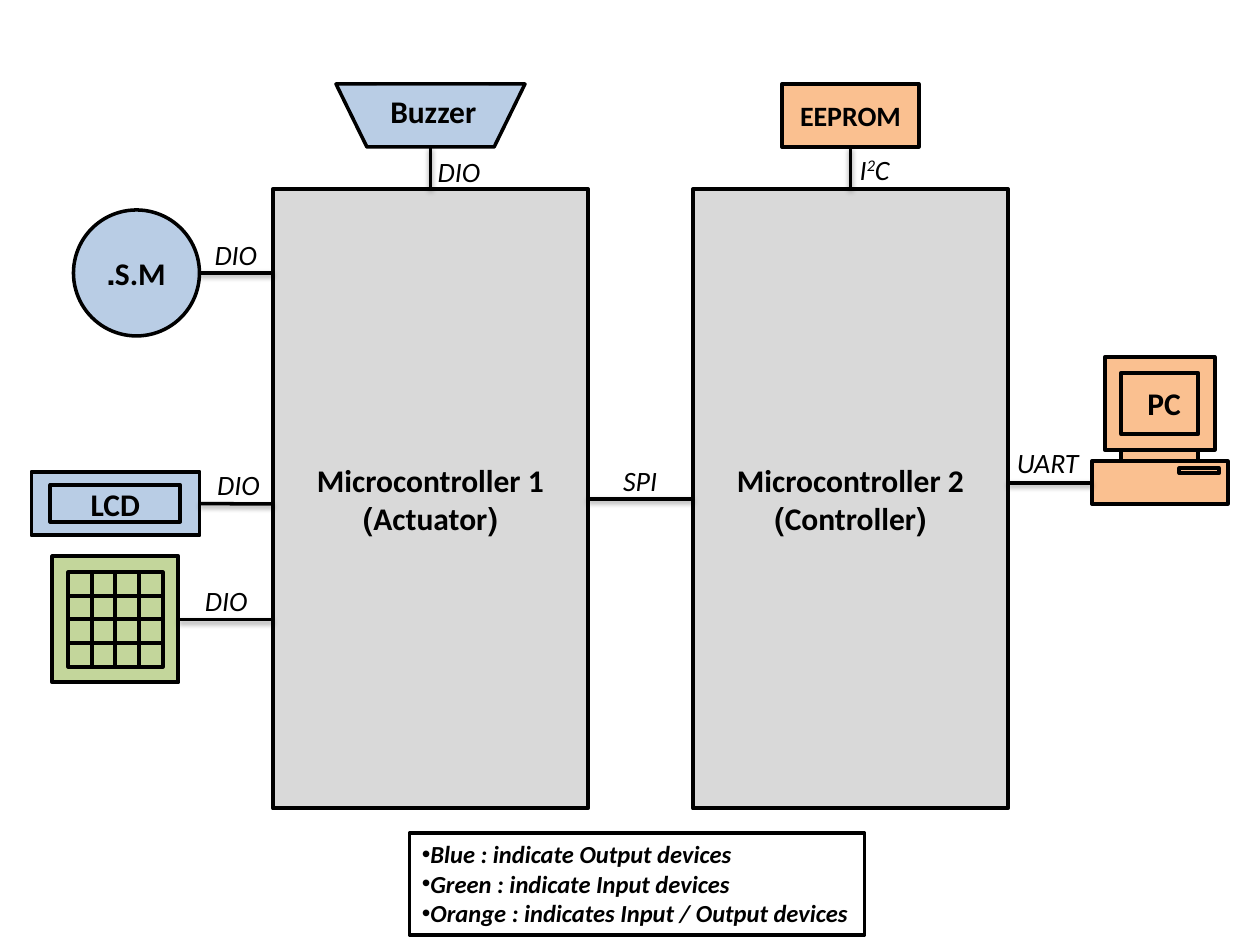
from typing import NamedTuple

from lxml.etree import SubElement
from pptx import Presentation
from pptx.dml.color import RGBColor
from pptx.enum.shapes import MSO_CONNECTOR as Connector, MSO_SHAPE as Preset
from pptx.enum.text import MSO_ANCHOR as Anchor, MSO_AUTO_SIZE as AutoSize, PP_ALIGN as Align
from pptx.oxml.ns import qn
from pptx.util import Pt

BLACK, WHITE, GREY = "000000", "FFFFFF", "D9D9D9"
BLUE, GREEN, ORANGE = "B9CDE5", "C3D69B", "FAC090"


class Box(NamedTuple):
    left: float
    top: float
    width: float
    height: float


class Label(NamedTuple):
    text: str
    box: Box


class Wire(NamedTuple):
    start: tuple
    end: tuple
    source: tuple = None  # (shape, connection site)
    target: tuple = None


def rgb(value: str) -> RGBColor:
    return RGBColor.from_string(value)


def paint(shape, fill: str, line_width: float):
    shape.shadow.inherit = False
    shape.fill.solid()
    shape.fill.fore_color.rgb = rgb(fill)
    if line_width:
        shape.line.color.rgb = rgb(BLACK)
        shape.line.width = Pt(line_width)
    else:
        shape.line.fill.background()
    return shape


def add_box(shapes, box: Box, fill: str, line_width: float = 2.25, preset=Preset.RECTANGLE):
    return paint(shapes.add_shape(preset, *map(Pt, box)), fill, line_width)


def write(shape, text: str, size: float = 18, bold: bool = True, italic: bool = False,
          align=Align.CENTER, anchor=Anchor.MIDDLE, fit: bool = False,
          rtl: bool = True, bullet: str = ""):
    """Each line becomes a paragraph; text between ^ marks is raised."""
    frame = shape.text_frame
    frame.word_wrap = not fit
    frame.auto_size = AutoSize.SHAPE_TO_FIT_TEXT if fit else AutoSize.NONE
    frame.vertical_anchor = anchor
    for index, line in enumerate(text.split("\n")):
        paragraph = frame.add_paragraph() if index else frame.paragraphs[0]
        paragraph.alignment = align
        properties = paragraph._p.get_or_add_pPr()
        if rtl:
            properties.set("rtl", "1")
        if bullet:
            SubElement(properties, qn("a:buFont"), typeface="Arial")
            SubElement(properties, qn("a:buChar"), char=bullet)
        for part, words in enumerate(line.split("^")):
            run = paragraph.add_run()
            run.text = words
            font = run.font
            font.name, font.size, font.bold, font.italic = "Calibri", Pt(size), bold, italic
            font.color.rgb = rgb(BLACK)
            if part % 2:
                run._r.get_or_add_rPr().set("baseline", "30000")


def add_wire(shapes, wire: Wire):
    connector = shapes.add_connector(Connector.STRAIGHT, *map(Pt, wire.start + wire.end))
    if wire.source:
        connector.begin_connect(*wire.source)
    if wire.target:
        connector.end_connect(*wire.target)
    connector.line.color.rgb = rgb(BLACK)
    connector.line.width = Pt(2)
    effects = SubElement(connector._element.spPr, qn("a:effectLst"))
    shadow = SubElement(effects, qn("a:outerShdw"), blurRad=str(Pt(3.1)), dist=str(Pt(1.6)),
                        dir="5400000", rotWithShape="0")
    colour = SubElement(shadow, qn("a:srgbClr"), val=BLACK)
    SubElement(colour, qn("a:alpha"), val="38000")


def add_label(shapes, label: Label):
    write(shapes.add_textbox(*map(Pt, label.box)), label.text, size=16, bold=False,
          italic=True, align=Align.RIGHT, anchor=Anchor.TOP, fit=True)


def add_computer(shapes):
    middle = 662.75
    # Right half of the outline, as (distance from the middle, height)
    half = [(31.4, 204), (31.4, 257), (22, 257), (22, 263.5), (38.75, 263.5), (38.75, 288)]
    outline = [(middle + dx, y) for dx, y in half] + [(middle - dx, y) for dx, y in half[::-1]]
    start, *rest = [(Pt(x), Pt(y)) for x, y in outline]
    builder = shapes.build_freeform(*start)
    builder.add_line_segments(rest, close=True)
    paint(builder.convert_to_shape(), ORANGE, 2.25)
    add_box(shapes, Box(middle - 22, 257, 44, 6.5), ORANGE)
    add_box(shapes, Box(674, 267.5, 22.5, 3), ORANGE)
    screen = add_box(shapes, Box(middle - 22, 213, 44, 35), ORANGE)
    write(screen, "PC ")


def add_keypad(shapes):
    pad = add_box(shapes, Box(30, 318, 72, 72), GREEN)
    key = 13.5
    for row in range(4):
        for column in range(4):
            add_box(shapes, Box(39 + column * key, 327 + row * key, key, key), GREEN)
    return pad


def main():
    deck = Presentation()
    deck.slide_width, deck.slide_height = Pt(720), Pt(540)
    shapes = deck.slides.add_slide(deck.slide_layouts[6]).shapes

    actuator = add_box(shapes, Box(156, 108, 180, 354), GREY)
    write(actuator, "Microcontroller 1\n(Actuator)")
    controller = add_box(shapes, Box(396, 108, 180, 354), GREY)
    write(controller, "Microcontroller 2\n(Controller)")

    add_computer(shapes)
    eeprom = add_box(shapes, Box(447, 48, 78, 36), ORANGE)
    write(eeprom, "EEPROM", size=16)
    lcd = add_box(shapes, Box(18, 269.5, 96, 36.5), BLUE)
    write(add_box(shapes, Box(28.8, 277.2, 74.2, 20.9), BLUE), "LCD")
    keypad = add_keypad(shapes)
    motor = add_box(shapes, Box(42, 120, 72, 72), BLUE, 2, Preset.OVAL)
    write(motor, "S.M.")
    buzzer = add_box(shapes, Box(192, 48, 108, 36), BLUE, 2, Preset.TRAPEZOID)
    buzzer.rotation = 180
    buzzer.adjustments[0] = 0.49
    write(add_box(shapes, Box(215.3, 49, 64, 29), BLUE, 0), "Buzzer",
          align=Align.RIGHT, anchor=Anchor.TOP, fit=True)

    wires = [
        Wire((114, 156), (156, 156)),
        Wire((246, 84), (246, 108), target=(actuator, 0)),
        Wire((486, 84), (486, 108), (eeprom, 2), (controller, 0)),
        Wire((624, 276), (576, 276)),
        Wire((102, 354), (156, 354), source=(keypad, 3)),
        Wire((114, 288), (156, 288), source=(lcd, 3)),
        Wire((336, 285), (396, 285), (actuator, 3), (controller, 1)),
    ]
    for wire in wires:
        add_wire(shapes, wire)

    labels = [
        Label("SPI", Box(348, 261.5, 34.6, 26.6)),
        Label("UART", Box(573, 251, 50.4, 26.6)),
        Label("I^2^C", Box(483, 83.5, 32.4, 26.6)),
    ]
    dio_corners = [(242.5, 85), (115, 132), (116.5, 263.5), (109.5, 330)]
    labels += [Label("DIO", Box(left, top, 39, 26.6)) for left, top in dio_corners]
    for label in labels:
        add_label(shapes, label)

    legend = add_box(shapes, Box(234, 476, 260, 58.3), WHITE, 2)
    write(legend, "Blue : indicate Output devices\nGreen : indicate Input devices\n"
          "Orange : indicates Input / Output devices", size=14, italic=True,
          align=Align.LEFT, anchor=Anchor.TOP, fit=True, rtl=False, bullet="•")

    deck.save("out.pptx")


if __name__ == "__main__":
    main()
